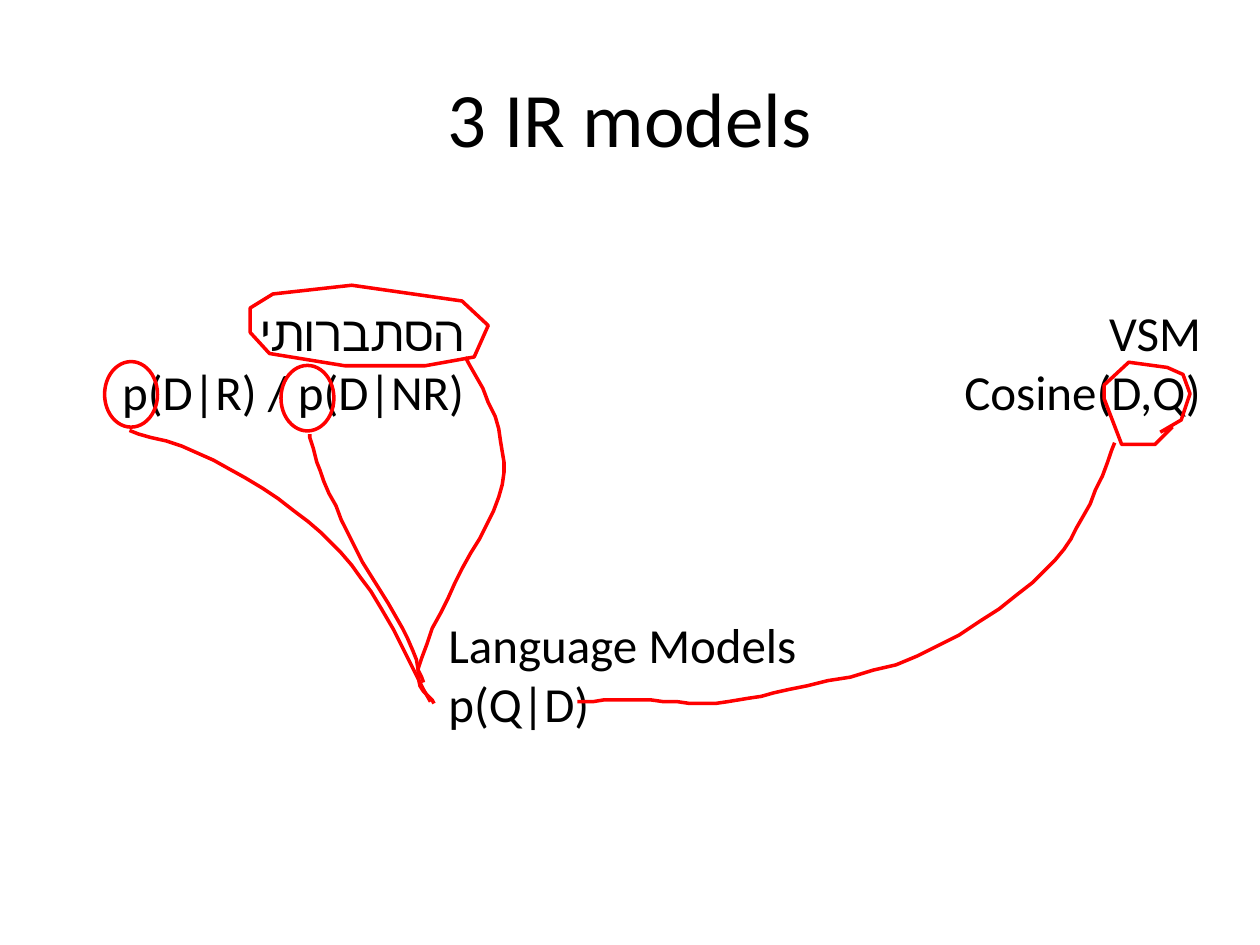
import pptx
import pptx.util
import pptx.dml.color
import pptx.enum.shapes
import pptx.enum.text

Pt = pptx.util.Pt
ALIGN = pptx.enum.text.PP_ALIGN
LEFT, MID, RIGHT = ALIGN.LEFT, ALIGN.CENTER, ALIGN.RIGHT
INK, RED, FONT = "000000", "FF0000", "Calibri"
STEPS = 6

TITLE = ((36, 21.6, 648, 90), MID, 44, ["3 IR models"])
MODELS = [
    ((542.16, 169.2, 151.2, 74.88), RIGHT, 28, ["VSM", "Cosine(D,Q)"]),
    ((59.76, 169.2, 212.4, 74.88), RIGHT, 28, ["הסתברותי", "p(D|R) / p(D|NR)"]),
    ((249.12, 347.76, 215.28, 74.88), LEFT, 28, ["Language Models", "p(Q|D)"]),
]
RINGS = [(59.76, 206.64), (160.56, 208.8)]
RING = (30.24, 37.44)

LOOP = [
    (156, 168), (143, 176), (143, 190), (154, 202), (197, 209), (243, 209),
    (271, 204), (279, 186), (264, 172), (201, 163),
]
HOOK = [
    (663, 247), (675, 240), (680, 225), (676, 214), (667, 210), (645, 207),
    (631, 220), (631, 228), (641, 254), (660, 254), (670, 244),
]
CURVES = [
    [(266, 204), (285, 245), (285, 284), (260, 333), (239, 382), (248, 402)],
    [(74, 246), (122, 263), (176, 298), (212, 338), (246, 401)],
    [(177, 248), (183, 269), (203, 313), (230, 359), (242, 390)],
    [(637, 253), (619, 295), (590, 333), (524, 375), (451, 394), (409, 402),
     (365, 400), (330, 401)],
]


def tint(code):
    return pptx.dml.color.RGBColor.from_string(code)


def write(slide, box, align, size, lines, wrap=False):
    item = slide.shapes.add_textbox(*map(Pt, box))
    frame = item.text_frame
    frame.word_wrap = wrap
    if wrap:
        frame.vertical_anchor = pptx.enum.text.MSO_ANCHOR.MIDDLE
    else:
        frame.auto_size = pptx.enum.text.MSO_AUTO_SIZE.SHAPE_TO_FIT_TEXT
    for i, line in enumerate(lines):
        para = frame.add_paragraph() if i else frame.paragraphs[0]
        para.alignment = align
        run = para.add_run()
        run.text = line
        run.font.name = FONT
        run.font.size = Pt(size)
        run.font.color.rgb = tint(INK)


def mark(shape):
    shape.shadow.inherit = False
    shape.fill.background()
    shape.line.color.rgb = tint(RED)
    shape.line.width = Pt(2)


def blend(a, b, c, d, t):
    bend = 2 * a - 5 * b + 4 * c - d
    return b + t * (c - a + t * (bend + t * (3 * (b - c) + d - a))) / 2


def smooth(knots):
    ends = [knots[0], *knots, knots[-1]]
    dots = []
    for four in zip(ends, ends[1:], ends[2:], ends[3:]):
        for i in range(STEPS):
            dots.append(tuple(blend(*axis, i / STEPS) for axis in zip(*four)))
    return dots + [knots[-1]]


def draw(slide, dots, close=False):
    pen = slide.shapes.build_freeform(*dots[0], scale=Pt(1))
    pen.add_line_segments(dots[1:], close=close)
    mark(pen.convert_to_shape())


def main():
    deck = pptx.Presentation()
    deck.slide_width, deck.slide_height = Pt(720), Pt(540)
    slide = deck.slides.add_slide(deck.slide_layouts[6])
    write(slide, *TITLE, wrap=True)
    for model in MODELS:
        write(slide, *model)
    draw(slide, LOOP, close=True)
    draw(slide, HOOK)
    oval = pptx.enum.shapes.MSO_SHAPE.OVAL
    for spot in RINGS:
        mark(slide.shapes.add_shape(oval, *map(Pt, spot + RING)))
    for curve in CURVES:
        draw(slide, smooth(curve))
    deck.save("out.pptx")


if __name__ == "__main__":
    main()
